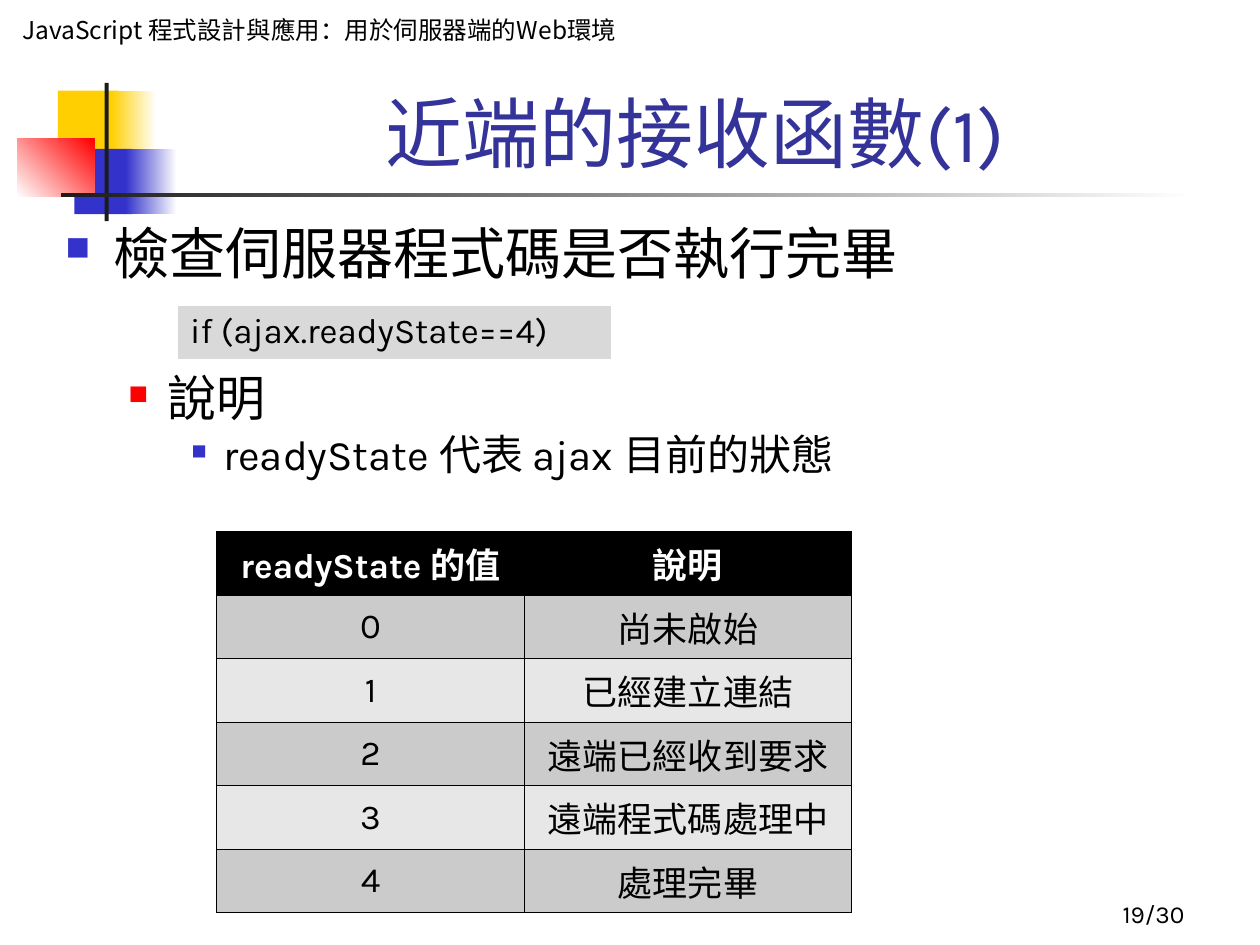
import pptx
import pptx.util
import pptx.dml.color
import pptx.enum.shapes
import pptx.enum.text
import pptx.oxml
import pptx.oxml.ns

Cm, Pt = pptx.util.Cm, pptx.util.Pt
ALIGN = pptx.enum.text.PP_ALIGN
ANCHOR = pptx.enum.text.MSO_ANCHOR
NS = pptx.oxml.ns.nsdecls("a")
CJK = "Noto Sans CJK SC"


def rgb(color):
    return pptx.dml.color.RGBColor.from_string(color)


def write(p, text, size, color="000000", font="Karla", bold=False, align=ALIGN.LEFT):
    p.alignment = align
    r = p.add_run()
    r.text = text
    r.font.size, r.font.bold, r.font.name = Pt(size), bold, font
    r.font.color.rgb = rgb(color)
    r.font._element.append(pptx.oxml.parse_xml(f'<a:ea {NS} typeface="{CJK}"/>'))


prs = pptx.Presentation()
prs.slide_width, prs.slide_height = Cm(25.4), Cm(19.05)
s = prs.slides.add_slide(prs.slide_layouts[6])

# Corner decoration: left, top, width, height, colours, gradient angle
blocks = [
    (1.17, 1.83, 1.22, 1.32, ["FFCF01"], 0),
    (2.24, 1.83, 0.91, 1.32, ["FFCF01", "FFFFFF"], 0),
    (1.5, 3.0, 1.17, 1.32, ["3333CC"], 0),
    (2.54, 3.0, 1.02, 1.32, ["3333CC", "FFFFFF"], 0),
    (0.35, 2.8, 1.55, 1.17, ["FFFFFF", "FF0000"], 45),
    (2.11, 1.67, 0.08, 2.79, ["1C1C1C"], 0),
    (1.23, 3.89, 22.86, 0.09, ["1C1C1C", "FFFFFF"], 0),
]
for left, top, width, height, colors, angle in blocks:
    sp = s.shapes.add_shape(pptx.enum.shapes.MSO_SHAPE.RECTANGLE,
                            Cm(left), Cm(top), Cm(width), Cm(height))
    sp.shadow.inherit = False
    sp.line.fill.background()
    if len(colors) == 1:
        sp.fill.solid()
        sp.fill.fore_color.rgb = rgb(colors[0])
    else:
        sp.fill.gradient()
        sp.fill.gradient_angle = angle
        for stop, color in zip(sp.fill.gradient_stops, colors):
            stop.color.rgb = rgb(color)

# Course name, title and page number
labels = [
    ((0.2, 0.2, 12.5, 1.45), ANCHOR.TOP, 0.2, 0.13, 0.82,
     "JavaScript 程式設計與應用：用於伺服器端的Web環境", dict(size=14, font=CJK)),
    ((3.2, 1.47, 21.64, 2.11), ANCHOR.BOTTOM, 0, 0, 1,
     "近端的接收函數(1)", dict(size=44, color="333399", align=ALIGN.CENTER)),
    ((18.85, 17.58, 5.28, 1.27), ANCHOR.BOTTOM, 0.13, 0.13, 1,
     "19/30", dict(size=14, align=ALIGN.RIGHT)),
]
for box, anchor, inset_top, inset_bottom, spacing, text, style in labels:
    tf = s.shapes.add_textbox(*map(Cm, box)).text_frame
    tf.word_wrap, tf.vertical_anchor = True, anchor
    tf.margin_top, tf.margin_bottom = Cm(inset_top), Cm(inset_bottom)
    tf.paragraphs[0].line_spacing = spacing
    write(tf.paragraphs[0], text, **style)

# Outline: text, size, space before, left margin, hanging, bullet colour, bullet %
outline = [
    ("檢查伺服器程式碼是否執行完畢", 32, 0, 0.97, 0.97, "3333CC", 60),
    ("說明", 28, 51, 2.06, 0.79, "FF0000", 55),
    ("readyState 代表 ajax 目前的狀態", 24, 4.5, 3.18, 0.64, "3333CC", 50),
]
tf = s.shapes.add_textbox(Cm(1.07), Cm(4.45), Cm(23.83), Cm(12.9)).text_frame
tf.word_wrap = True
for level, (text, size, before, margin, hanging, color, percent) in enumerate(outline):
    p = tf.add_paragraph() if level else tf.paragraphs[0]
    p.level = level
    pPr = p._p.get_or_add_pPr()
    pPr.set("marL", str(Cm(margin)))
    pPr.set("indent", str(-Cm(hanging)))
    for xml in (f'<a:buClr {NS}><a:srgbClr val="{color}"/></a:buClr>',
                f'<a:buSzPct {NS} val="{percent * 1000}"/>',
                f'<a:buFont {NS} typeface="Wingdings"/>',
                f'<a:buChar {NS} char="n"/>'):
        pPr.append(pptx.oxml.parse_xml(xml))
    p.line_spacing, p.space_before = 0.88, Pt(before)
    write(p, text, size)

# Code line and state table
code = [["if (ajax.readyState==4)"]]
states = [
    ["readyState 的值", "說明"],
    ["0", "尚未啟始"],
    ["1", "已經建立連結"],
    ["2", "遠端已經收到要求"],
    ["3", "遠端程式碼處理中"],
    ["4", "處理完畢"],
]
tables = [
    (code, 3.58, 6.15, [8.74], 1.08, ["D9D9D9"], "FFFFFF", 1.47, ALIGN.LEFT, ANCHOR.TOP),
    (states, 4.37, 10.72, [6.2, 6.6], 1.28, ["000000"] + ["CBCBCB", "E7E7E7"] * 3,
     "000000", 0.45, ALIGN.CENTER, ANCHOR.MIDDLE),
]
for rows, left, top, widths, height, fills, border, bottom, align, anchor in tables:
    table = s.shapes.add_table(len(rows), len(widths), Cm(left), Cm(top),
                               Cm(sum(widths)), Cm(height * len(rows))).table
    table.first_row = table.horz_banding = False
    for column, width in zip(table.columns, widths):
        column.width = Cm(width)
    for i, row in enumerate(rows):
        table.rows[i].height = Cm(height)
        header = fills[i] == "000000"
        for j, text in enumerate(row):
            cell = table.cell(i, j)
            cell.vertical_anchor = anchor
            for side, weight in zip("LRTB", (0.45, 0.45, 0.45, bottom)):
                cell._tc.get_or_add_tcPr().append(pptx.oxml.parse_xml(
                    f'<a:ln{side} {NS} w="{Pt(weight)}"><a:solidFill>'
                    f'<a:srgbClr val="{border}"/></a:solidFill></a:ln{side}>'))
            cell.fill.solid()
            cell.fill.fore_color.rgb = rgb(fills[i])
            write(cell.text_frame.paragraphs[0], text, 20, bold=header, align=align,
                  color="FFFFFF" if header else "000000")

prs.save("out.pptx")
